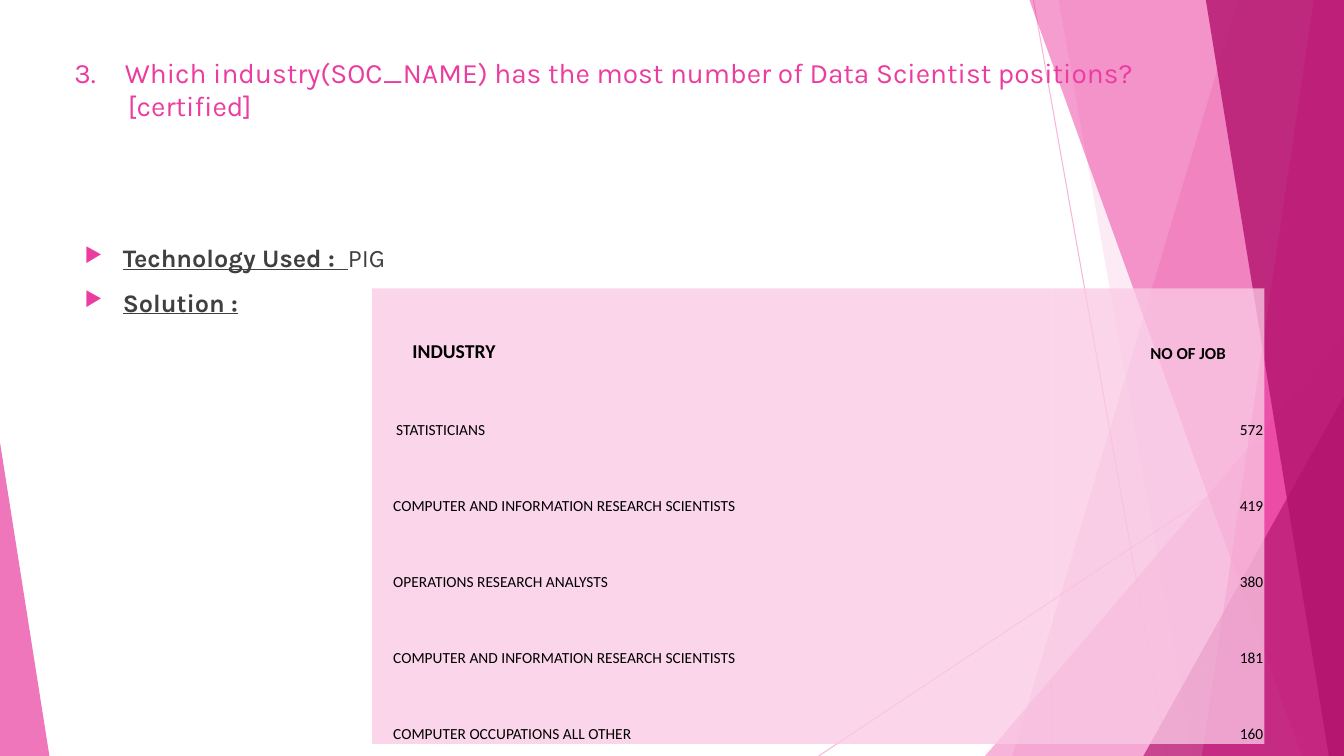
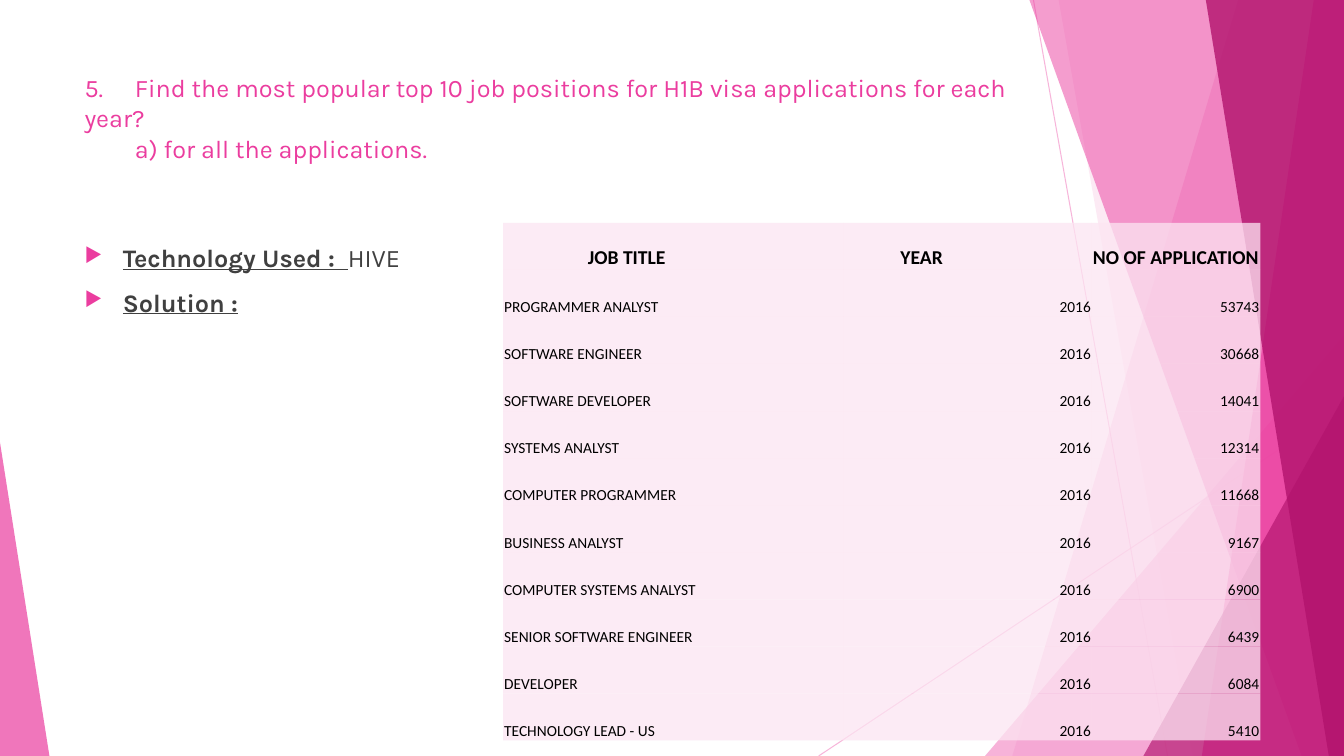
from lxml import etree
from pptx import Presentation
from pptx.dml.color import RGBColor
from pptx.enum.shapes import MSO_CONNECTOR, MSO_SHAPE
from pptx.enum.text import MSO_ANCHOR, PP_ALIGN
from pptx.oxml.ns import qn
from pptx.util import Inches, Pt

STRAIGHT = MSO_CONNECTOR.STRAIGHT
TRIANGLE = MSO_SHAPE.ISOSCELES_TRIANGLE
BOTTOM = MSO_ANCHOR.BOTTOM
LEFT, RIGHT = PP_ALIGN.LEFT, PP_ALIGN.RIGHT

SLIDE_BOX = (0, 0, 13.33, 7.5)
BODY_BOX = (0.74, 2.36, 9.4, 4.24)
PALE_PINK, PINK, MAGENTA = "F496CB", "EB3D9F", "B2136D"
BODY_GREY, BLACK = "404040", "000000"
PLAIN_TABLE_STYLE = "{2D5ABB26-0587-4C30-8999-92F81FD0307C}"

RAYS = [((10.25, 0), (11.58, 7.5)), ((13.33, 4.03), (8.12, 7.5))]
BACK_PANELS = [(12.28, 10.04, PALE_PINK, 36), (10.5, 11.83, PALE_PINK, 20)]
FRONT_PANELS = [
    (10.21, 12.91, PINK, 50),
    (13.03, 11.92, PINK, 70),
    (11.96, 13.18, MAGENTA, 80),
]
BACK_TRIANGLE = (9.77, 3.33, 3.56, 1, PALE_PINK, 72)
FRONT_TRIANGLES = [(11.34, 3.93, 1.99, 1, MAGENTA, 66), (0, 4.39, 0.49, 0, PINK, 70)]


def color(hex_value):
    return RGBColor.from_string(hex_value)


def apply_format(target, values):
    for name, value in values.items():
        setattr(target, name, value)


def set_opacity(element, percent):
    fill_color = next(element.iter(qn("a:srgbClr")))
    etree.SubElement(fill_color, qn("a:alpha"), val=str(percent * 1000))


def fill_shape(shape, hex_value, opacity):
    shape.shadow.inherit = False
    shape.fill.solid()
    shape.fill.fore_color.rgb = color(hex_value)
    set_opacity(shape._element, opacity)
    shape.line.fill.background()


def add_ray(slide, left, top, start, end):
    ray = slide.shapes.add_connector(
        STRAIGHT,
        Inches(left + start[0]),
        Inches(top + start[1]),
        Inches(left + end[0]),
        Inches(top + end[1]),
    )
    ray.line.width = Pt(0.75)
    ray.line.color.rgb = color(PALE_PINK)
    set_opacity(ray._element, 70)
    etree.SubElement(ray._element.spPr, qn("a:effectLst"))


def add_panel(slide, box, panel):
    left, top, width, height = box
    top_x, bottom_x, hex_value, opacity = panel
    corners = [(top_x, 0), (width, 0), (width, height), (bottom_x, height)]
    points = [(Inches(left + x), Inches(top + y)) for x, y in corners]
    builder = slide.shapes.build_freeform(*points[0])
    builder.add_line_segments(points[1:], close=True)
    fill_shape(builder.convert_to_shape(), hex_value, opacity)


def add_triangle(slide, box, triangle):
    left, top, _, height = box
    x, y, width, apex, hex_value, opacity = triangle
    shape = slide.shapes.add_shape(
        TRIANGLE, Inches(left + x), Inches(top + y), Inches(width), Inches(height - y)
    )
    shape.adjustments[0] = apex
    fill_shape(shape, hex_value, opacity)


def add_backdrop(slide, box):
    for start, end in RAYS:
        add_ray(slide, box[0], box[1], start, end)
    for panel in BACK_PANELS:
        add_panel(slide, box, panel)
    add_triangle(slide, box, BACK_TRIANGLE)
    for panel in FRONT_PANELS:
        add_panel(slide, box, panel)
    for triangle in FRONT_TRIANGLES:
        add_triangle(slide, box, triangle)


def add_text(paragraph, text, hex_value, values):
    run = paragraph.add_run()
    run.text = text
    apply_format(run.font, values)
    run.font.color.rgb = color(hex_value)


def add_paragraphs(slide, box, count):
    frame = slide.shapes.add_textbox(*map(Inches, box)).text_frame
    frame.word_wrap = True
    return [frame.paragraphs[0]] + [frame.add_paragraph() for _ in range(count - 1)]


def set_indent(paragraph, margin, first_line=0):
    properties = paragraph._p.get_or_add_pPr()
    properties.set("marL", str(Inches(margin)))
    properties.set("indent", str(Inches(first_line)))
    return properties


def add_title(slide, box, size, number_gap, lines):
    values = {"name": "Karla", "size": Pt(size)}
    paragraphs = add_paragraphs(slide, box, len(lines))
    for paragraph, (text, margin) in zip(paragraphs, lines):
        properties = set_indent(paragraph, margin)
        if "\t" in text:
            tabs = etree.SubElement(properties, qn("a:tabLst"))
            etree.SubElement(tabs, qn("a:tab"), pos=str(Inches(number_gap)), algn="l")
        add_text(paragraph, text, PINK, values)


def add_bullet(paragraph):
    properties = set_indent(paragraph, 0.38, -0.38)
    bullet_color = etree.SubElement(properties, qn("a:buClr"))
    etree.SubElement(bullet_color, qn("a:srgbClr"), val=PINK)
    etree.SubElement(properties, qn("a:buSzPct"), val="80000")
    etree.SubElement(properties, qn("a:buChar"), char="▶")


def add_body(slide, box, technology):
    plain = {"name": "Karla", "size": Pt(18)}
    label = {**plain, "bold": True, "underline": True}
    used, solution = add_paragraphs(slide, box, 2)
    for paragraph in (used, solution):
        paragraph.space_before = Pt(10)
        add_bullet(paragraph)
    add_text(used, "Technology Used :  ", BODY_GREY, label)
    add_text(used, technology, BODY_GREY, plain)
    add_text(solution, "Solution :", BODY_GREY, label)


def fill_cell(cell, text, hex_value, opacity, inset, alignment, font_values):
    cell.fill.solid()
    cell.fill.fore_color.rgb = color(hex_value)
    set_opacity(cell._tc, opacity)
    apply_format(
        cell,
        {
            "vertical_anchor": BOTTOM,
            "margin_left": Inches(inset),
            "margin_right": Inches(0.01),
            "margin_top": Inches(0.01),
            "margin_bottom": 0,
        },
    )
    paragraph = cell.text_frame.paragraphs[0]
    paragraph.alignment = alignment
    add_text(paragraph, text, BLACK, {"name": "Calibri", **font_values})


def add_result_table(slide, box, widths, hex_value, opacity, headers, rows, row_insets):
    frame = slide.shapes.add_table(len(rows) + 1, len(widths), *map(Inches, box))
    table = frame.table
    apply_format(table, {"first_row": False, "horz_banding": False})
    table._tbl.tblPr.find(qn("a:tableStyleId")).text = PLAIN_TABLE_STYLE
    for column, width in zip(table.columns, widths):
        column.width = Inches(width)
    for row in table.rows:
        row.height = Inches(box[3] / (len(rows) + 1))
    for index, (text, size, inset) in enumerate(headers):
        values = {"size": Pt(size), "bold": True}
        fill_cell(table.cell(0, index), text, hex_value, opacity, inset, LEFT, values)
    for row_index, (record, first_inset) in enumerate(zip(rows, row_insets), 1):
        for index, value in enumerate(record):
            inset, alignment = (0.01, RIGHT) if index else (first_inset, LEFT)
            cell = table.cell(row_index, index)
            values = {"size": Pt(11), "bold": False}
            fill_cell(cell, str(value), hex_value, opacity, inset, alignment, values)


def add_question_slide(presentation, title, technology, result):
    slide = presentation.slides.add_slide(presentation.slide_layouts[6])
    add_backdrop(slide, SLIDE_BOX)
    add_title(slide, **title)
    add_body(slide, BODY_BOX, technology)
    add_result_table(slide, **result)


INDUSTRY_TITLE = {
    "box": (0.64, 0.5, 12.06, 1.38),
    "size": 20,
    "number_gap": 0.41,
    "lines": [
        ("3.\tWhich industry(SOC_NAME) has the most number of Data Scientist positions?", 0),
        ("[certified]", 0.53),
    ],
}
INDUSTRY_RESULT = {
    "box": (3.69, 2.86, 8.85, 4.52),
    "widths": (6.74, 2.11),
    "hex_value": "FACAE5",
    "opacity": 76,
    "headers": [("INDUSTRY", 14, 0.4), ("NO OF JOB", 12, 0.98)],
    "rows": [
        ("STATISTICIANS", 572),
        ("COMPUTER AND INFORMATION RESEARCH SCIENTISTS", 419),
        ("OPERATIONS RESEARCH ANALYSTS", 380),
        ("COMPUTER AND INFORMATION RESEARCH SCIENTISTS", 181),
        ("COMPUTER OCCUPATIONS ALL OTHER", 160),
    ],
    "row_insets": [0.24] + [0.21] * 4,
}

JOB_TITLE = {
    "box": (0.74, 0.67, 9.4, 1.44),
    "size": 18,
    "number_gap": 0.31,
    "lines": [
        (
            "5.\tFind the most popular top 10 job positions for H1B visa "
            "applications for each year?",
            0,
        ),
        ("a) for all the applications.", 0.5),
    ],
}
JOB_APPLICATIONS = [
    ("PROGRAMMER ANALYST", 53743),
    ("SOFTWARE ENGINEER", 30668),
    ("SOFTWARE DEVELOPER", 14041),
    ("SYSTEMS ANALYST", 12314),
    ("COMPUTER PROGRAMMER", 11668),
    ("BUSINESS ANALYST", 9167),
    ("COMPUTER SYSTEMS ANALYST", 6900),
    ("SENIOR SOFTWARE ENGINEER", 6439),
    ("DEVELOPER", 6084),
    ("TECHNOLOGY LEAD - US", 5410),
]
JOB_RESULT = {
    "box": (4.99, 2.21, 7.51, 5.14),
    "widths": (3.38, 2.46, 1.67),
    "hex_value": "FCE5F2",
    "opacity": 75,
    "headers": [("JOB TITLE", 14, 0.84), ("YEAR", 14, 0.56), ("NO OF APPLICATION", 14, 0.01)],
    "rows": [(job, 2016, applications) for job, applications in JOB_APPLICATIONS],
    "row_insets": [0.01] * len(JOB_APPLICATIONS),
}


def main():
    presentation = Presentation()
    presentation.slide_width = Inches(SLIDE_BOX[2])
    presentation.slide_height = Inches(SLIDE_BOX[3])
    add_question_slide(presentation, INDUSTRY_TITLE, "PIG", INDUSTRY_RESULT)
    add_question_slide(presentation, JOB_TITLE, "HIVE", JOB_RESULT)
    presentation.save("out.pptx")


if __name__ == "__main__":
    main()
